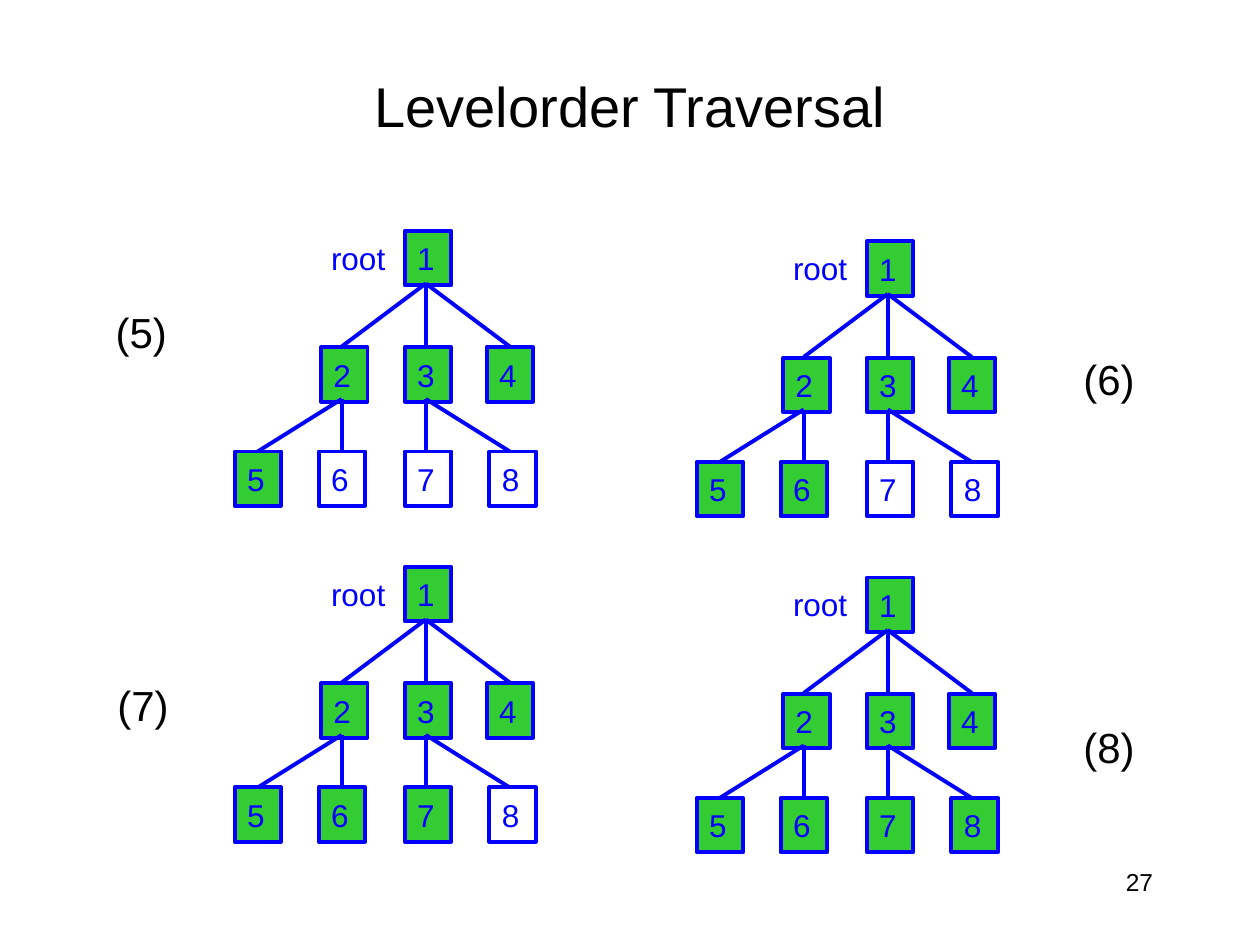
from lxml.etree import SubElement
from pptx import Presentation
from pptx.dml.color import RGBColor
from pptx.enum.shapes import MSO_CONNECTOR, MSO_SHAPE
from pptx.enum.text import MSO_ANCHOR, PP_ALIGN
from pptx.oxml.ns import qn
from pptx.util import Pt

BLACK = RGBColor(0x00, 0x00, 0x00)
BLUE = RGBColor(0x00, 0x00, 0xFF)
GREEN = RGBColor(0x33, 0xCC, 0x33)


def set_text(sp, text, size=18, color=BLUE, align=PP_ALIGN.LEFT,
             anchor=MSO_ANCHOR.MIDDLE, wrap=False):
    """Write one formatted line of text into a shape."""
    tf = sp.text_frame
    tf.word_wrap = wrap
    tf.vertical_anchor = anchor
    p = tf.paragraphs[0]
    p.alignment = align
    r = p.add_run()
    r.text = text
    r.font.name = "Arial"
    r.font.size = Pt(size)
    r.font.color.rgb = color


def add_edge(s, x1, y1, x2, y2):
    """Draw a plain blue line between two points."""
    line = s.shapes.add_connector(MSO_CONNECTOR.STRAIGHT, Pt(x1), Pt(y1), Pt(x2), Pt(y2))
    line.line.color.rgb = BLUE
    line.line.width = Pt(2.25)
    SubElement(line._element.spPr, qn("a:effectLst"))


prs = Presentation()
prs.slide_width, prs.slide_height = Pt(720), Pt(540)
s = prs.slides.add_slide(prs.slide_layouts[5])

title = s.shapes.title
title.left, title.top, title.width, title.height = Pt(54), Pt(30), Pt(612), Pt(60)
set_text(title, "Levelorder Traversal", size=32, color=BLACK,
         align=PP_ALIGN.CENTER, wrap=True)

number = s.shapes.add_textbox(Pt(516), Pt(492), Pt(150), Pt(36))
set_text(number, "27", size=14, color=BLACK, align=PP_ALIGN.RIGHT,
         anchor=MSO_ANCHOR.TOP, wrap=True)

# Offsets from the top left corner of each root node
NODE_W, NODE_H = 26.6, 31
NODES = [(0, 0),
         (-47.8, 66.5), (0, 66.5), (46.8, 66.5),
         (-97.2, 126), (-49.2, 126), (0, 126), (48.4, 126)]
# Parent x, parent y, child y, child x positions
BRANCHES = [(12, 30, 66, (12, -36, 60)),
            (-36, 96, 126, (-84, -36)),
            (12, 96, 126, (12, 60))]

# Visited nodes, root left, root top, step label left, step label top
STEPS = [(5, 231.3, 132, 59, 171.5),
         (6, 495.3, 138, 612, 198.5),
         (7, 231.3, 324, 60, 384.5),
         (8, 495.3, 330, 612, 408.5)]

for visited, left, top, label_left, label_top in STEPS:
    for value, (dx, dy) in enumerate(NODES, start=1):
        node = s.shapes.add_shape(MSO_SHAPE.RECTANGLE, Pt(left + dx), Pt(top + dy),
                                  Pt(NODE_W), Pt(NODE_H))
        node.shadow.inherit = False
        node.line.color.rgb = BLUE
        node.line.width = Pt(2.25)
        if value <= visited:
            node.fill.solid()
            node.fill.fore_color.rgb = GREEN
        else:
            node.fill.background()
        set_text(node, str(value))

    for x, y, child_y, child_xs in BRANCHES:
        for child_x in child_xs:
            add_edge(s, left + x, top + y, left + child_x, top + child_y)

    root = s.shapes.add_textbox(Pt(left - 49.2), Pt(top + 0.8), Pt(45.4), Pt(29))
    set_text(root, "root")
    label = s.shapes.add_textbox(Pt(label_left), Pt(label_top), Pt(44), Pt(36))
    set_text(label, f"({visited})", size=24, color=BLACK)

prs.save("out.pptx")
